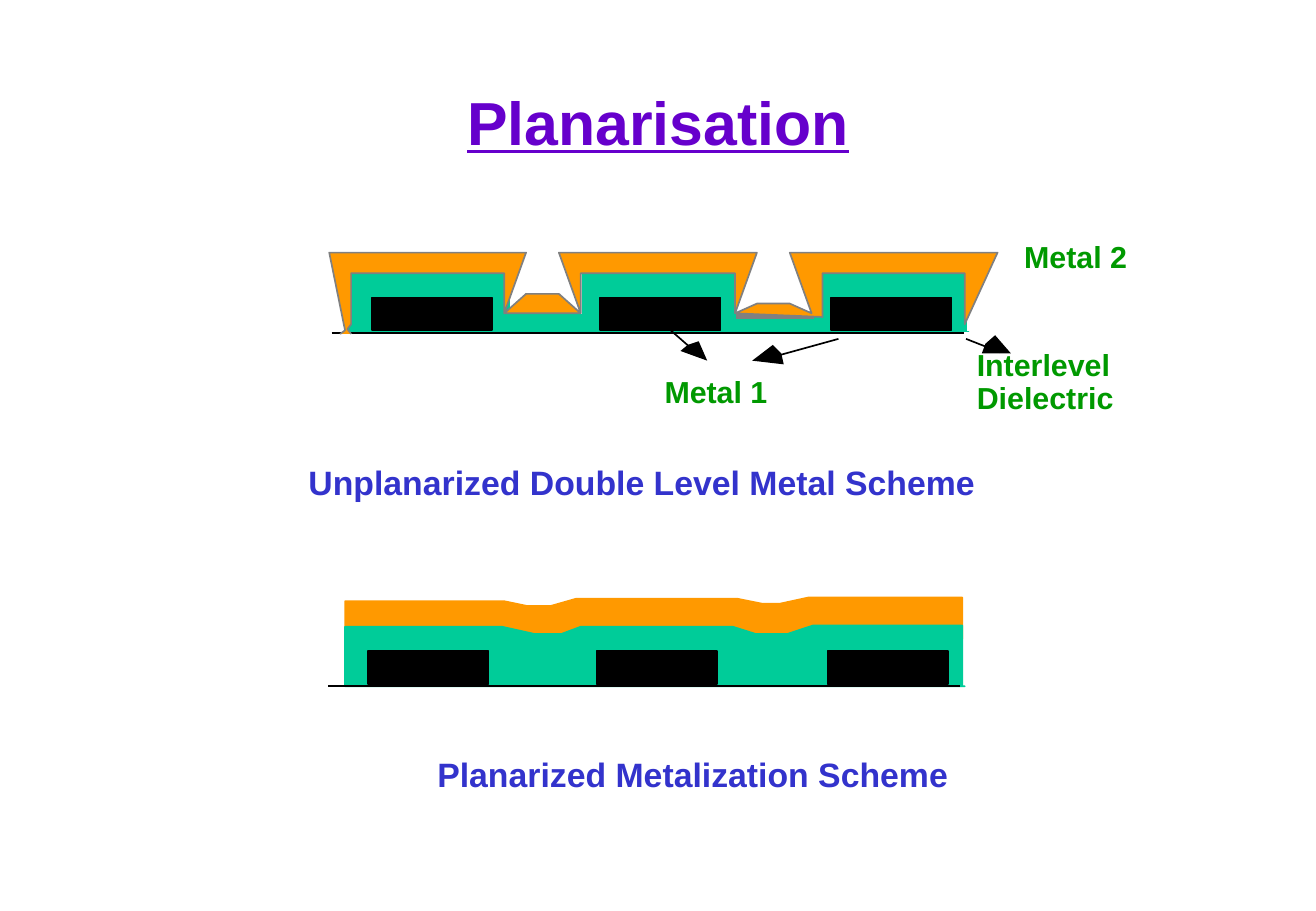
"""Build the slide on planarisation of double level metal."""
from dataclasses import dataclass

from lxml.etree import SubElement
from pptx import Presentation
from pptx.dml.color import RGBColor
from pptx.enum.shapes import MSO_CONNECTOR, MSO_SHAPE
from pptx.enum.text import MSO_ANCHOR, MSO_AUTO_SIZE, PP_ALIGN
from pptx.oxml.ns import qn
from pptx.util import Inches, Pt


@dataclass(frozen=True)
class Theme:
    """Hold the colours, font and type sizes."""
    font: str = "Arial"
    title: str = "6600CC"
    label: str = "009900"
    scheme: str = "3333CC"
    upper: str = "FF9900"
    oxide: str = "00CC99"
    lower: str = "000000"
    edge: str = "808080"
    big: int = 36
    mid: int = 20
    small: int = 18
    line: int = 1


THEME = Theme()
TITLE = "Planarisation"
LABELS = [
    ("Metal 2", 8.33, 1.91, 1.05),
    ("Metal 1", 5.37, 3.02, 1.05),
    ("Interlevel", 7.94, 2.8, 1.3),
    ("Dielectric", 7.94, 3.07, 1.33),
]
SCHEMES = [
    ("Unplanarized Double Level Metal Scheme", 2.44, 3.75, 6.23),
    ("Planarized Metalization Scheme", 3.5, 6.16, 4.41),
]
ROUGH_OXIDE = [
    (2.86, 2.73), (2.86, 2.26), (4.19, 2.26), (4.19, 2.59), (4.8, 2.59),
    (4.8, 2.24), (6.05, 2.24), (6.05, 2.63), (6.71, 2.63), (6.71, 2.23),
    (7.95, 2.23), (7.95, 2.73), (7.97, 2.73), (7.95, 2.73), (2.86, 2.73),
]
ROUGH_UPPER = [
    (2.8, 2.75), (2.84, 2.72), (2.71, 2.08), (4.33, 2.08), (4.15, 2.58),
    (4.33, 2.42), (4.6, 2.42), (4.78, 2.58), (4.6, 2.08), (6.23, 2.08),
    (6.05, 2.58), (6.23, 2.5), (6.5, 2.5), (6.68, 2.58), (6.5, 2.08),
    (8.21, 2.08), (7.94, 2.67), (7.94, 2.25), (6.77, 2.25), (6.77, 2.61),
    (6.05, 2.58), (6.05, 2.25), (4.78, 2.25), (4.78, 2.58), (4.15, 2.58),
    (4.15, 2.25), (2.89, 2.25), (2.89, 2.67), (2.86, 2.71), (2.89, 2.75),
]
FLAT_UPPER = [
    (2.84, 5.26), (2.84, 4.95), (4.15, 4.95), (4.34, 4.99), (4.53, 4.99),
    (4.74, 4.93), (6.07, 4.93), (6.27, 4.97), (6.42, 4.97), (6.65, 4.92),
    (7.92, 4.92), (7.92, 5.26), (2.84, 5.26),
]
FLAT_OXIDE = [
    (2.84, 5.65), (2.84, 5.16), (4.13, 5.16), (4.4, 5.22), (4.62, 5.22),
    (4.78, 5.16), (6.03, 5.16), (6.22, 5.22), (6.48, 5.22), (6.69, 5.15),
    (7.92, 5.15), (7.92, 5.65), (7.94, 5.65), (7.92, 5.65), (2.84, 5.65),
]
BARS = (3.06, 4.94, 6.84)
BAR_SIZE = (0.99, 0.27)
BASE = (2.73, 7.93)
SHIFT = -0.03
ARROWS = [
    ((5.52, 2.72), (5.76, 2.93),
     [(5.6, 2.89), (5.66, 2.84), (5.75, 2.81), (5.82, 2.97)]),
    ((6.9, 2.79), (6.32, 2.95),
     [(6.36, 2.84), (6.43, 2.91), (6.45, 3), (6.19, 2.97)]),
    ((7.95, 2.79), (8.23, 2.9),
     [(8.08, 2.91), (8.11, 2.83), (8.19, 2.76), (8.32, 2.91)]),
]


def tint(name):
    return RGBColor.from_string(name)


def paint(shape, fill, edge):
    shape.shadow.inherit = False
    shape.fill.solid()
    shape.fill.fore_color.rgb = tint(fill)
    if edge:
        shape.line.color.rgb = tint(edge)
        shape.line.width = Pt(THEME.line)
    else:
        shape.line.fill.background()


def draw_block(shapes, left, top, size, fill):
    box = [Inches(n) for n in (left, top, *size)]
    paint(shapes.add_shape(MSO_SHAPE.RECTANGLE, *box), fill, fill)


def draw_film(shapes, points, fill, edge, close=False):
    first, *rest = [(Inches(x), Inches(y)) for x, y in points]
    pen = shapes.build_freeform(*first)
    pen.add_line_segments(rest, close=close)
    paint(pen.convert_to_shape(), fill, edge)


def draw_line(shapes, start, end):
    ends = [Inches(n) for n in (*start, *end)]
    line = shapes.add_connector(MSO_CONNECTOR.STRAIGHT, *ends)
    line.line.color.rgb = tint(THEME.lower)
    line.line.width = Pt(THEME.line)
    SubElement(line._element.spPr, qn("a:effectLst"))


def style(par, size, color):
    par.font.name = THEME.font
    par.font.size = Pt(size)
    par.font.bold = True
    par.font.color.rgb = tint(color)


def write(shapes, item, size, color):
    text, left, top, width = item
    box = [Inches(n) for n in (left, top, width, size / 50 + 0.03)]
    frame = shapes.add_textbox(*box).text_frame
    frame.word_wrap = False
    frame.auto_size = MSO_AUTO_SIZE.SHAPE_TO_FIT_TEXT
    par = frame.paragraphs[0]
    par.text = text
    par.alignment = PP_ALIGN.LEFT
    style(par, size, color)


def draw_metal(shapes, floor, shift):
    left, right = BASE
    draw_line(shapes, (left + shift, floor), (right + shift, floor))
    for bar in BARS:
        draw_block(shapes, bar + shift, floor - 0.29, BAR_SIZE, THEME.lower)


def main():
    deck = Presentation()
    deck.slide_width, deck.slide_height = Inches(10.83), Inches(7.5)
    shapes = deck.slides.add_slide(deck.slide_layouts[5]).shapes

    title = shapes.title
    title.left, title.top = Inches(0.45), Inches(0.37)
    title.width, title.height = Inches(9.93), Inches(1.25)
    title.text_frame.vertical_anchor = MSO_ANCHOR.MIDDLE
    head = title.text_frame.paragraphs[0]
    head.text = TITLE
    head.alignment = PP_ALIGN.CENTER
    style(head, THEME.big, THEME.title)
    head.font.underline = True

    draw_block(shapes, 6.05, 2.59, (0.71, 0.07), THEME.edge)
    draw_film(shapes, ROUGH_OXIDE, THEME.oxide, THEME.oxide)
    draw_metal(shapes, 2.74, 0)
    draw_film(shapes, ROUGH_UPPER, THEME.upper, THEME.edge)
    for start, end, tip in ARROWS:
        draw_film(shapes, tip, THEME.lower, None, close=True)
        draw_line(shapes, start, end)

    draw_film(shapes, FLAT_UPPER, THEME.upper, THEME.upper)
    draw_film(shapes, FLAT_OXIDE, THEME.oxide, THEME.oxide)
    draw_metal(shapes, 5.65, SHIFT)

    for item in LABELS:
        write(shapes, item, THEME.small, THEME.label)
    for item in SCHEMES:
        write(shapes, item, THEME.mid, THEME.scheme)
    deck.save("out.pptx")


if __name__ == "__main__":
    main()
